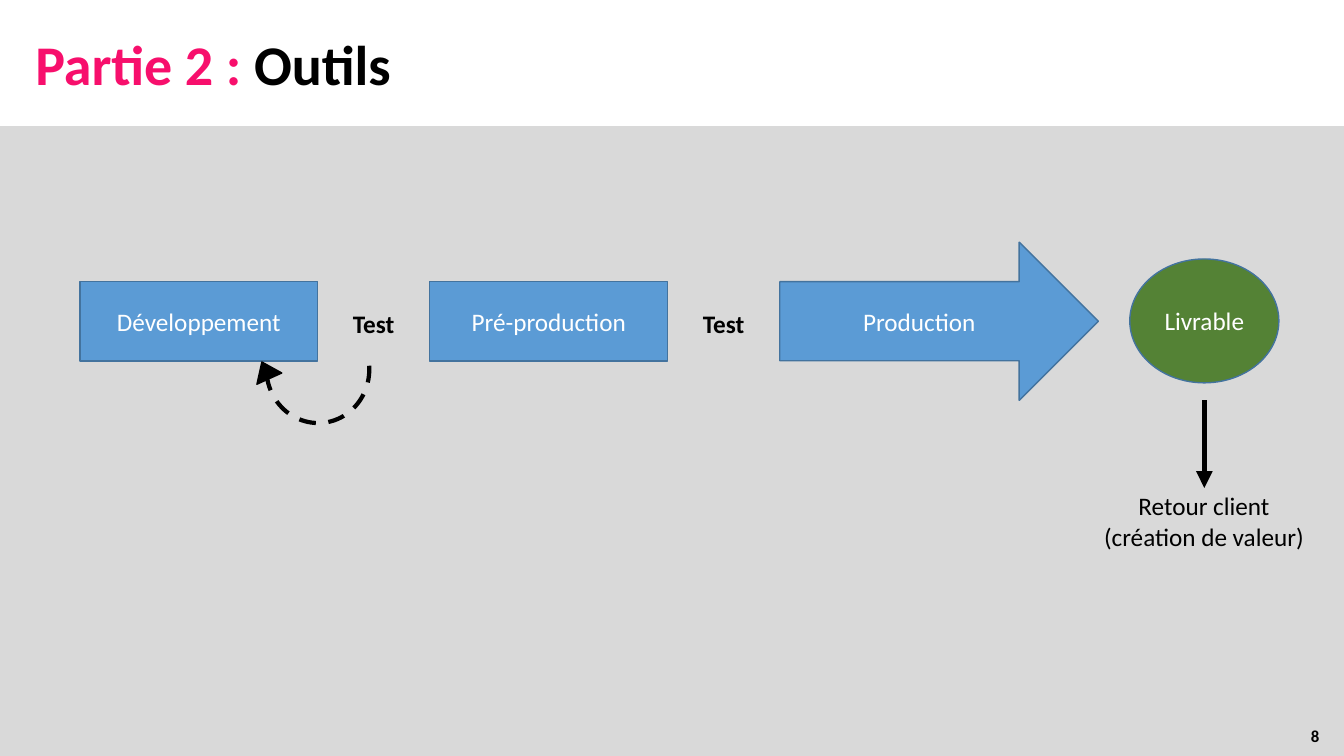
from pptx import Presentation
from pptx.dml.color import RGBColor
from pptx.enum.dml import MSO_LINE
from pptx.enum.shapes import MSO_CONNECTOR, MSO_SHAPE
from pptx.enum.text import MSO_ANCHOR, PP_ALIGN
from pptx.oxml.ns import qn
from pptx.util import Pt
from lxml.etree import SubElement

COLORS = {
    "background": "D9D9D9",
    "white": "FFFFFF",
    "black": "000000",
    "pink": "F70F6C",
    "blue": "5B9BD5",
    "outline": "43739E",
    "green": "548235",
}
COLORS = {name: RGBColor.from_string(value) for name, value in COLORS.items()}
STEP_LEFT, STEP_TOP, STEP_WIDTH, STEP_HEIGHT, STEP_PITCH = 57, 201, 170, 57, 250


def write(shape, text, size, color, align, bold=False, wrap=True, anchor=MSO_ANCHOR.MIDDLE):
    frame = shape.text_frame
    frame.text = text
    frame.word_wrap = wrap
    frame.vertical_anchor = anchor
    for paragraph in frame.paragraphs:
        paragraph.alignment = align
        for run in paragraph.runs:
            run.font.name = "Calibri"
            run.font.size = Pt(size)
            run.font.bold = bold
            run.font.color.rgb = COLORS[color]


def draw(kind, left, top, width, height, fill, line, weight=1):
    shape = slide.shapes.add_shape(kind, Pt(left), Pt(top), Pt(width), Pt(height))
    shape.shadow.inherit = False
    if fill:
        shape.fill.solid()
        shape.fill.fore_color.rgb = COLORS[fill]
    else:
        shape.fill.background()
    if line:
        shape.line.color.rgb = COLORS[line]
        shape.line.width = Pt(weight)
    else:
        shape.line.fill.background()
    return shape


prs = Presentation()
prs.slide_width, prs.slide_height = Pt(960), Pt(540)
slide = prs.slides.add_slide(prs.slide_layouts[5])
slide.background.fill.solid()
slide.background.fill.fore_color.rgb = COLORS["background"]

header = draw(MSO_SHAPE.RECTANGLE, 0, 0, 960, 90, "white", None)
title = slide.shapes.title
title._element.addprevious(header._element)
title.left, title.top, title.width, title.height = Pt(18), Pt(17.5), Pt(754), Pt(55.5)
write(title, "Partie 2 :", 40, "pink", PP_ALIGN.LEFT, bold=True, anchor=MSO_ANCHOR.TOP)
topic = title.text_frame.paragraphs[0].add_run()
topic.text = " Outils"
topic.font.name = "Calibri"
topic.font.size = Pt(40)
topic.font.bold = True
topic.font.color.rgb = COLORS["black"]

for index, name in enumerate(["Développement", "Pré-production"]):
    left = STEP_LEFT + index * STEP_PITCH
    step = draw(MSO_SHAPE.RECTANGLE, left, STEP_TOP, STEP_WIDTH, STEP_HEIGHT, "blue", "outline")
    write(step, name, 18, "white", PP_ALIGN.CENTER)
    test = slide.shapes.add_textbox(Pt(left + 188), Pt(217), Pt(44.5), Pt(29))
    write(test, "Test", 18, "black", PP_ALIGN.LEFT, bold=True, wrap=False, anchor=MSO_ANCHOR.TOP)

production = draw(MSO_SHAPE.RIGHT_ARROW, STEP_LEFT + 2 * STEP_PITCH, 173, 227.5, 113, "blue", "outline")
write(production, "Production", 18, "white", PP_ALIGN.CENTER)

deliverable = draw(MSO_SHAPE.OVAL, 807, 185, 106.5, 88.5, "green", "outline")
write(deliverable, "Livrable", 18, "white", PP_ALIGN.CENTER)

delivery = slide.shapes.add_connector(MSO_CONNECTOR.STRAIGHT, Pt(860.25), Pt(286), Pt(860.25), Pt(348.5))
delivery.line.color.rgb = COLORS["black"]
delivery.line.width = Pt(4)
SubElement(delivery.line._get_or_add_ln(), qn("a:tailEnd"), type="triangle")
SubElement(delivery._element.spPr, qn("a:effectLst"))

feedback = slide.shapes.add_textbox(Pt(780.5), Pt(347), Pt(159), Pt(51))
write(feedback, "Retour client\n(création de valeur)", 18, "black", PP_ALIGN.CENTER,
      wrap=False, anchor=MSO_ANCHOR.TOP)

loop = draw(MSO_SHAPE.ARC, 188.5, 227, 77, 73.5, None, "black", 3)
loop.adjustments[0] = 162
loop.adjustments[1] = 53.62
loop.rotation = 86.2
loop.line.dash_style = MSO_LINE.DASH

loop_head = draw(MSO_SHAPE.ISOSCELES_TRIANGLE, 180, 258, 19.5, 13, "black", "black")
loop_head.rotation = 335.7

page_number = slide.shapes.add_textbox(Pt(733.5), Pt(511), Pt(216), Pt(29))
write(page_number, "8", 12, "black", PP_ALIGN.RIGHT, bold=True)

prs.save("out.pptx")
